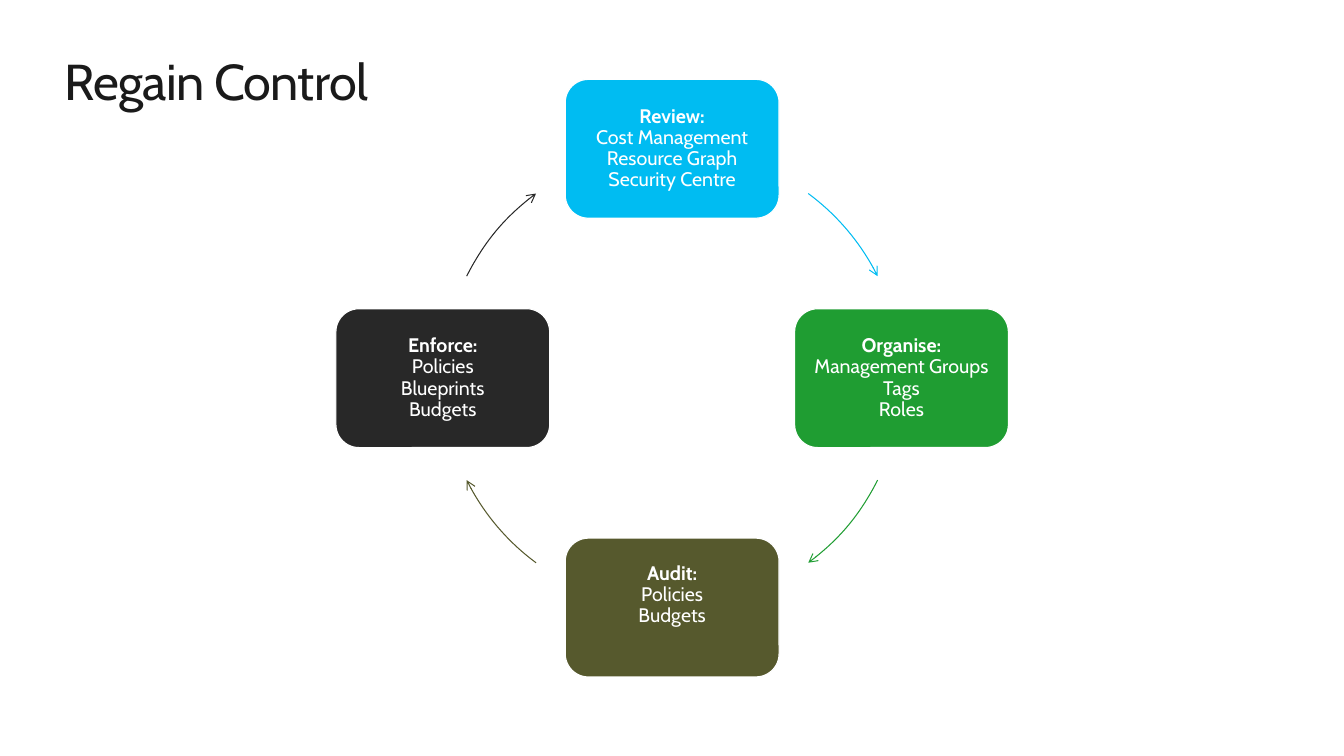
from dataclasses import dataclass
from math import cos, radians, sin

from lxml.etree import SubElement
from pptx import Presentation
from pptx.dml.color import RGBColor
from pptx.enum.shapes import MSO_SHAPE
from pptx.enum.text import MSO_ANCHOR, MSO_AUTO_SIZE, PP_ALIGN
from pptx.oxml.ns import qn
from pptx.util import Cm, Pt


@dataclass(frozen=True)
class Theme:
    font: str = "Cabin"
    title_size: float = 36
    body_size: float = 14
    ink: str = "1A1A1A"
    white: str = "FFFFFF"
    review: str = "00BCF2"
    organise: str = "1F9D32"
    audit: str = "56592D"
    enforce: str = "282828"


THEME = Theme()

# Cycle geometry in centimetres; angles in degrees run clockwise from the right.
CENTRE_X, CENTRE_Y, RADIUS = 16.94, 9.53, 5.78
BOX_W, BOX_H = 5.39, 3.5
INSET, SPARE_LINE, MAX_LINES = 0.31, 0.62, 4
STEP, SWEEP = 90, 27.2
GAP_AT_POLE, GAP_AT_SIDE = 36.4, 26.4  # the wide boxes need more room at top and bottom

STAGES = [
    ("Review:", ["Cost Management", "Resource Graph", "Security Centre"], THEME.review),
    ("Organise:", ["Management Groups", "Tags", "Roles"], THEME.organise),
    ("Audit:", ["Policies", "Budgets"], THEME.audit),
    ("Enforce:", ["Policies", "Blueprints", "Budgets"], THEME.enforce),
]


def set_attributes(obj, values):
    for name, value in values.items():
        setattr(obj, name, value)


def add_run(p, text, size, colour, bold=False):
    r = p.add_run()
    r.text = text
    set_attributes(r.font, {"name": THEME.font, "size": Pt(size), "bold": bold})
    r.font.color.rgb = RGBColor.from_string(colour)
    return r


def set_line(sp, colour, width):
    sp.line.color.rgb = RGBColor.from_string(colour)
    sp.line.width = Pt(width)


def add_title(s, text):
    sp = s.shapes.title
    set_attributes(sp, {"left": Cm(1.63), "top": Cm(1.25),
                        "width": Cm(30.61), "height": Cm(1.55)})
    tf = sp.text_frame
    set_attributes(tf, {"margin_left": 0, "margin_right": 0, "margin_top": 0,
                        "margin_bottom": 0, "word_wrap": True,
                        "auto_size": MSO_AUTO_SIZE.NONE,
                        "vertical_anchor": MSO_ANCHOR.MIDDLE})
    p = tf.paragraphs[0]
    p.alignment = PP_ALIGN.LEFT
    r = add_run(p, text, THEME.title_size, THEME.ink)
    r.font._element.set("spc", "-50")


def add_stage(s, angle, heading, items, colour):
    """Add a stage box centred on the circle; short lists keep the common top line."""
    x = CENTRE_X + RADIUS * cos(radians(angle))
    y = CENTRE_Y + RADIUS * sin(radians(angle))
    sp = s.shapes.add_shape(MSO_SHAPE.ROUNDED_RECTANGLE, Cm(x - BOX_W / 2),
                            Cm(y - BOX_H / 2), Cm(BOX_W), Cm(BOX_H))
    sp.shadow.inherit = False
    sp.fill.solid()
    sp.fill.fore_color.rgb = RGBColor.from_string(colour)
    set_line(sp, THEME.white, 0.85)

    lines = [heading, *items]
    spare = (MAX_LINES - len(lines)) * SPARE_LINE
    tf = sp.text_frame
    set_attributes(tf, {"margin_left": Cm(INSET), "margin_right": Cm(INSET),
                        "margin_top": Cm(INSET), "margin_bottom": Cm(INSET + spare),
                        "word_wrap": True, "vertical_anchor": MSO_ANCHOR.MIDDLE})
    for i, text in enumerate(lines):
        p = tf.paragraphs[0] if i == 0 else tf.add_paragraph()
        set_attributes(p, {"alignment": PP_ALIGN.CENTER, "line_spacing": 0.9})
        add_run(p, text, THEME.body_size, THEME.white, bold=i == 0)


def add_arc_arrow(s, start, colour):
    """Add a curved arrow that runs clockwise along the circle from the start angle."""
    sp = s.shapes.add_shape(MSO_SHAPE.ARC, Cm(CENTRE_X - RADIUS), Cm(CENTRE_Y - RADIUS),
                            Cm(2 * RADIUS), Cm(2 * RADIUS))
    sp.shadow.inherit = False
    sp.fill.background()
    set_line(sp, colour, 0.75)
    for i, end in enumerate((start, start + SWEEP)):
        sp.adjustments[i] = end % 360 * 0.6  # 60000 units a degree, scaled by 100000
    SubElement(sp.line._get_or_add_ln(), qn("a:tailEnd"), type="arrow")


def main():
    prs = Presentation()
    prs.slide_width, prs.slide_height = Cm(33.87), Cm(19.05)
    s = prs.slides.add_slide(prs.slide_layouts[5])
    add_title(s, "Regain Control")
    for i, (heading, items, colour) in enumerate(STAGES):
        angle = i * STEP - 90
        gap = GAP_AT_SIDE if i % 2 else GAP_AT_POLE
        add_stage(s, angle, heading, items, colour)
        add_arc_arrow(s, angle + gap, colour)
    prs.save("out.pptx")


if __name__ == "__main__":
    main()
